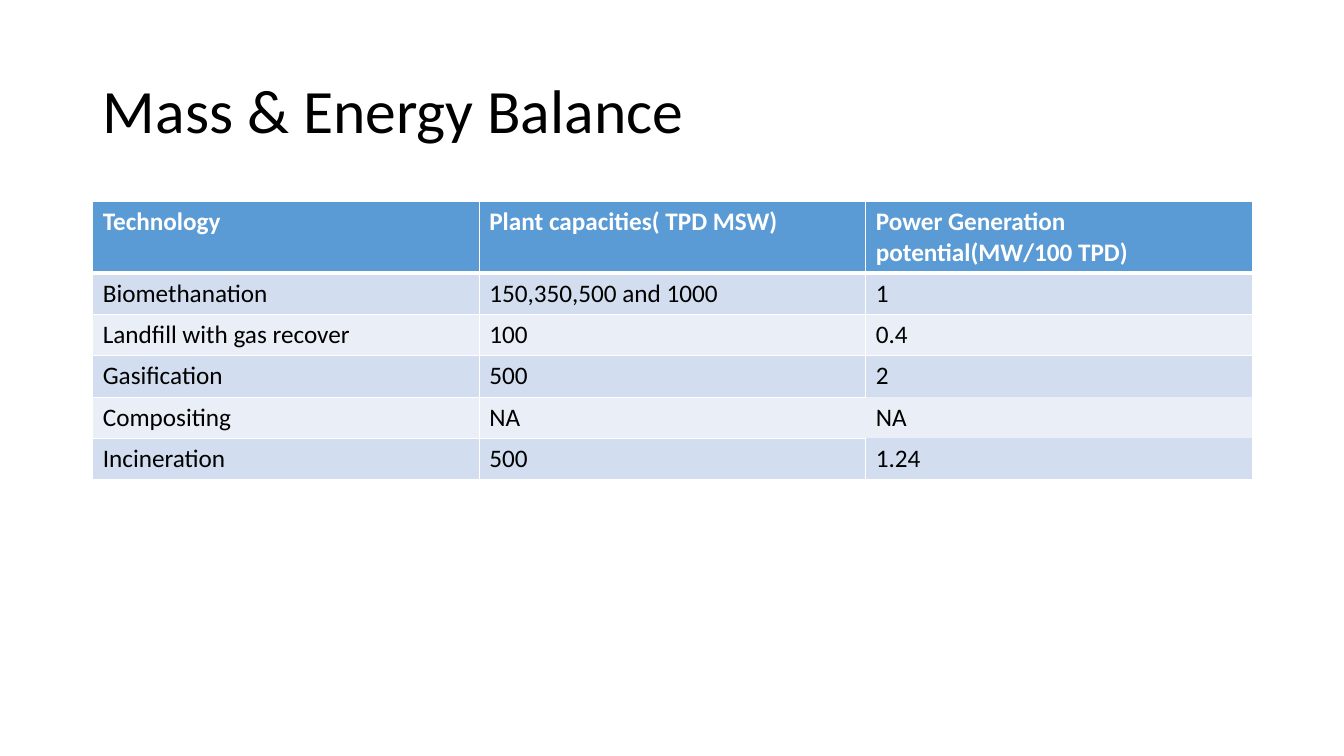
from lxml import etree
from pptx import Presentation
from pptx.dml.color import RGBColor
from pptx.enum.text import MSO_ANCHOR, PP_ALIGN
from pptx.oxml.ns import qn
from pptx.util import Inches, Pt

LEFT = PP_ALIGN.LEFT
MIDDLE = MSO_ANCHOR.MIDDLE
BLACK = RGBColor(0x00, 0x00, 0x00)
WHITE = RGBColor(0xFF, 0xFF, 0xFF)
HEADER_BLUE = RGBColor(0x5B, 0x9B, 0xD5)
BAND_FILLS = (RGBColor(0xEA, 0xEF, 0xF7), RGBColor(0xD2, 0xDE, 0xEF))
FONT = "Calibri"
TITLE_BOX = (0.92, 0.4, 11.5, 1.45)
TABLE_BOX = (0.92, 2, 11.5, 2.73)
BODY_ROW_HEIGHT = 0.41
BORDERLESS_CELL = (4, 2)
NEIGHBOURS = {"L": (0, -1), "R": (0, 1), "T": (-1, 0), "B": (1, 0)}
ROWS = (
    ("Technology", "Plant capacities( TPD MSW)", "Power Generation potential(MW/100 TPD)"),
    ("Biomethanation", "150,350,500 and 1000", "1"),
    ("Landfill with gas recover", "100", "0.4"),
    ("Gasification", "500", "2"),
    ("Compositing", "NA", "NA"),
    ("Incineration", "500", "1.24"),
)


def write_run(paragraph, text, size, color, bold=False):
    """Add one formatted run to the paragraph."""
    run = paragraph.add_run()
    run.text = text
    run.font.name = FONT
    run.font.size = Pt(size)
    run.font.bold = bold
    run.font.color.rgb = color


def set_borders(cell, row, column):
    """Draw the cell's white borders, leaving out those of the borderless cell."""
    properties = cell._tc.get_or_add_tcPr()
    for index, (side, (down, across)) in enumerate(NEIGHBOURS.items()):
        neighbour = (row + down, column + across)
        under_header = (row, side) in ((0, "B"), (1, "T"))
        line = etree.Element(qn(f"a:ln{side}"), w=str(Pt(3 if under_header else 1)))
        if BORDERLESS_CELL in ((row, column), neighbour):
            etree.SubElement(line, qn("a:noFill"))
        else:
            fill = etree.SubElement(line, qn("a:solidFill"))
            etree.SubElement(fill, qn("a:srgbClr"), val=str(WHITE))
        properties.insert(index, line)


def add_title(slide, box, text):
    """Place the title placeholder in the box."""
    title = slide.shapes.title
    title.left, title.top, title.width, title.height = map(Inches, box)
    frame = title.text_frame
    frame.vertical_anchor = MIDDLE
    paragraph = frame.paragraphs[0]
    paragraph.alignment = LEFT
    paragraph.line_spacing = 0.9
    write_run(paragraph, text, 44, BLACK)


def add_balance_table(slide, box, rows):
    """Fill the box with a table of one header row and banded body rows."""
    table = slide.shapes.add_table(len(rows), len(rows[0]), *map(Inches, box)).table
    header_height = box[3] - BODY_ROW_HEIGHT * (len(rows) - 1)
    for row, texts in enumerate(rows):
        is_header = row == 0
        table.rows[row].height = Inches(header_height if is_header else BODY_ROW_HEIGHT)
        for column, text in enumerate(texts):
            cell = table.cell(row, column)
            cell.fill.solid()
            cell.fill.fore_color.rgb = HEADER_BLUE if is_header else BAND_FILLS[row % 2]
            set_borders(cell, row, column)
            color = WHITE if is_header else BLACK
            write_run(cell.text_frame.paragraphs[0], text, 18, color, is_header)


def main():
    """Build and save the slide."""
    presentation = Presentation()
    presentation.slide_width = Inches(13.33)
    presentation.slide_height = Inches(7.5)
    slide = presentation.slides.add_slide(presentation.slide_layouts.get_by_name("Title Only"))
    add_title(slide, TITLE_BOX, "Mass & Energy Balance")
    add_balance_table(slide, TABLE_BOX, ROWS)
    presentation.save("out.pptx")


if __name__ == "__main__":
    main()
